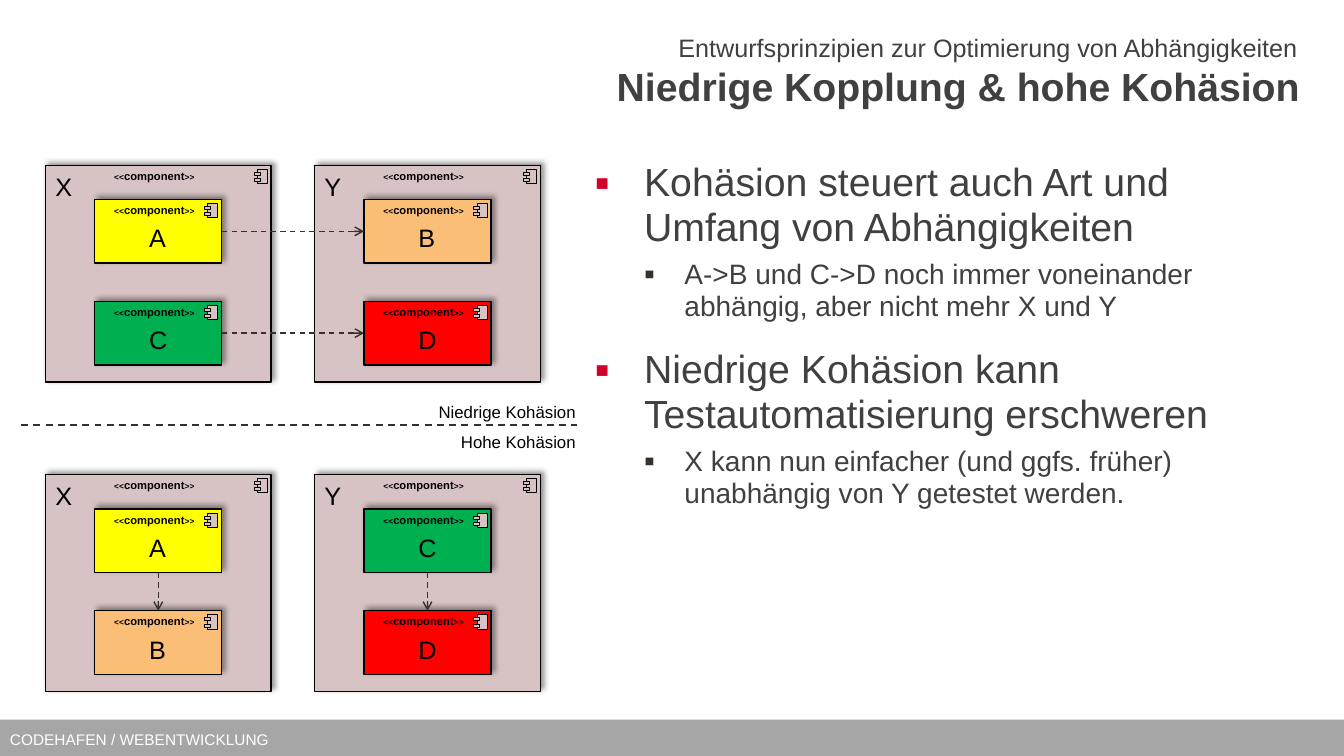
from lxml import etree
from pptx import Presentation
from pptx.dml.color import RGBColor
from pptx.enum.dml import MSO_LINE
from pptx.enum.shapes import MSO_CONNECTOR, MSO_SHAPE
from pptx.enum.text import MSO_ANCHOR, PP_ALIGN
from pptx.oxml.ns import qn
from pptx.util import Inches, Pt

RECT = MSO_SHAPE.RECTANGLE
STRAIGHT = MSO_CONNECTOR.STRAIGHT
DASH = MSO_LINE.DASH
LEFT, RIGHT = PP_ALIGN.LEFT, PP_ALIGN.RIGHT
TOP, MIDDLE, BOTTOM = MSO_ANCHOR.TOP, MSO_ANCHOR.MIDDLE, MSO_ANCHOR.BOTTOM

FONT = "Arial"
BLACK = RGBColor(0x00, 0x00, 0x00)
WHITE = RGBColor(0xFF, 0xFF, 0xFF)
GREY = RGBColor(0xA6, 0xA6, 0xA6)
DARK = RGBColor(0x40, 0x40, 0x40)
BROWN = RGBColor(0x39, 0x30, 0x2A)
CRIMSON = RGBColor(0xD2, 0x00, 0x29)
MAUVE = RGBColor(0xD7, 0xC3, 0xC3)
YELLOW = RGBColor(0xFF, 0xFF, 0x00)
ORANGE = RGBColor(0xFB, 0xBE, 0x77)
GREEN = RGBColor(0x00, 0xB0, 0x50)
RED = RGBColor(0xFF, 0x00, 0x00)

OUTER_W, OUTER_H = 2.24, 2.15
INNER_W, INNER_H = 1.26, 0.63
INNER_X, INNER_YS = 0.49, (0.34, 1.35)
STEREOTYPE_W = 1.07
COLUMNS, ROWS = (0.45, 3.12), (1.64, 4.71)

PART_COLORS = {"A": YELLOW, "B": ORANGE, "C": GREEN, "D": RED}
COMPONENTS = [
    ("X", 0, 0, "AC"),
    ("Y", 1, 0, "BD"),
    ("X", 0, 1, "AB"),
    ("Y", 1, 1, "CD"),
]
BULLETS = [
    (0, "Kohäsion steuert auch Art und Umfang von Abhängigkeiten"),
    (1, "A->B und C->D noch immer voneinander abhängig, aber nicht mehr X und Y"),
    (0, "Niedrige Kohäsion kann Testautomatisierung erschweren"),
    (1, "X kann nun einfacher (und ggfs. früher) unabhängig von Y getestet werden."),
]


def write(p, text, size=18, color=BLACK, bold=False, align=LEFT, spacing=None, before=None):
    """Append a formatted run to a paragraph."""
    p.alignment = align
    if spacing:
        p.line_spacing = spacing
    if before:
        p.space_before = Pt(before)
    r = p.add_run()
    r.text = text
    r.font.name = FONT
    r.font.size = Pt(size)
    r.font.bold = bold
    r.font.color.rgb = color


def text_box(shapes, x, y, w, h, text="", wrap=True, inset=True, anchor=TOP, **fmt):
    """Add a text box and return its text frame."""
    tf = shapes.add_textbox(Inches(x), Inches(y), Inches(w), Inches(h)).text_frame
    tf.word_wrap = wrap
    tf.vertical_anchor = anchor
    if not inset:
        tf.margin_left = tf.margin_right = tf.margin_top = tf.margin_bottom = 0
    if text:
        write(tf.paragraphs[0], text, **fmt)
    return tf


def add_shadow(sp):
    """Give a shape a soft shadow towards the upper right."""
    effects = sp._element.spPr.find(qn("a:effectLst"))
    shadow = etree.SubElement(effects, qn("a:outerShdw"), blurRad=str(Pt(4)),
                              dist=str(Pt(3)), dir=str(315 * 60000), rotWithShape="0")
    color = etree.SubElement(shadow, qn("a:srgbClr"), val=str(BLACK))
    etree.SubElement(color, qn("a:alpha"), val="40000")


def rect(shapes, x, y, w, h, fill, line=None, shadow=False):
    """Add a filled rectangle."""
    sp = shapes.add_shape(RECT, Inches(x), Inches(y), Inches(w), Inches(h))
    sp.shadow.inherit = False
    sp.fill.solid()
    sp.fill.fore_color.rgb = fill
    if line:
        sp.line.color.rgb = BLACK
        sp.line.width = Pt(line)
    else:
        sp.line.fill.background()
    if shadow:
        add_shadow(sp)
    return sp


def component_box(shapes, x, y, w, h, fill):
    """Add a UML component box with its stereotype and icon."""
    rect(shapes, x, y, w, h, fill, line=1, shadow=True)
    tf = text_box(shapes, x + (w - STEREOTYPE_W) / 2, y - 0.01, STEREOTYPE_W, 0.24)
    for text, size in (("<<", 6), ("component", 8), (">>", 6)):
        write(tf.paragraphs[0], text, size=size, bold=True)
    icon_x, icon_y = x + w - 0.14, y + 0.04
    rect(shapes, icon_x, icon_y, 0.1, 0.14, MAUVE, line=0.5)
    for dy in (0.03, 0.09):
        rect(shapes, icon_x - 0.03, icon_y + dy, 0.06, 0.03, MAUVE, line=0.5)


def component(s, name, x, y, parts):
    """Add an outer component with its stacked parts."""
    shapes = s.shapes.add_group_shape().shapes
    component_box(shapes, x, y, OUTER_W, OUTER_H, MAUVE)
    for part, dy in zip(parts, INNER_YS):
        px, py = x + INNER_X, y + dy
        component_box(shapes, px, py, INNER_W, INNER_H, PART_COLORS[part])
        text_box(shapes, px + 0.44, py + 0.18, 0.38, 0.4, part, wrap=False)
    text_box(s.shapes, x, y + 0.01, 0.37, 0.4, name, wrap=False)


def dashed_line(s, x1, y1, x2, y2, width=1, arrow=True):
    """Add a dashed line, with an open arrowhead if wanted."""
    cn = s.shapes.add_connector(STRAIGHT, Inches(x1), Inches(y1), Inches(x2), Inches(y2))
    cn.line.color.rgb = BROWN
    cn.line.width = Pt(width)
    cn.line.dash_style = DASH
    if arrow:
        etree.SubElement(cn.line._get_or_add_ln(), qn("a:tailEnd"), type="arrow")
    etree.SubElement(cn._element.spPr, qn("a:effectLst"))


def add_bullet(p, level):
    """Give a paragraph a square bullet with a hanging indent."""
    margin, hang, color = ((0.49, 0.49, CRIMSON), (0.89, 0.4, BROWN))[level]
    p.level = level
    pPr = p._p.get_or_add_pPr()
    pPr.set("marL", str(Inches(margin)))
    pPr.set("indent", str(-Inches(hang)))
    bullet_color = etree.SubElement(pPr, qn("a:buClr"))
    etree.SubElement(bullet_color, qn("a:srgbClr"), val=str(color))
    etree.SubElement(pPr, qn("a:buSzPct"), val="110000")
    etree.SubElement(pPr, qn("a:buFont"), typeface=FONT)
    etree.SubElement(pPr, qn("a:buChar"), char="▪")


def bullet_list(s):
    """Add the two-level list on the right."""
    tf = text_box(s.shapes, 5.8, 1.55, 7.32, 5.59)
    for i, (level, text) in enumerate(BULLETS):
        p = tf.add_paragraph() if i else tf.paragraphs[0]
        add_bullet(p, level)
        write(p, text, size=(28, 20)[level], color=DARK, spacing=0.95,
              before=(18, 6)[level] if i else None)


def arrows(s):
    """Connect the dependent parts: across in the top row, down in the bottom row."""
    left, right = (x + INNER_X for x in COLUMNS)
    for dy in INNER_YS:
        y = ROWS[0] + dy + INNER_H / 2
        dashed_line(s, left + INNER_W, y, right, y)
    for x in (left, right):
        middle = x + INNER_W / 2
        dashed_line(s, middle, ROWS[1] + INNER_YS[0] + INNER_H, middle, ROWS[1] + INNER_YS[1])


def main():
    """Build the slide and save it."""
    prs = Presentation()
    prs.slide_width, prs.slide_height = Inches(13.33), Inches(7.5)
    s = prs.slides.add_slide(prs.slide_layouts[6])

    footer = rect(s.shapes, 0, 7.14, 13.33, 0.39, GREY)
    footer.text_frame.vertical_anchor = MIDDLE
    write(footer.text_frame.paragraphs[0], "CODEHAFEN / WEBENTWICKLUNG", size=11, color=WHITE)

    text_box(s.shapes, 3.37, 0.62, 9.52, 0.49, "Niedrige Kopplung & hohe Kohäsion",
             inset=False, size=28, color=DARK, bold=True, align=RIGHT)
    text_box(s.shapes, 4.53, 0, 8.34, 0.63,
             "Entwurfsprinzipien zur Optimierung von Abhängigkeiten",
             inset=False, anchor=BOTTOM, color=DARK, align=RIGHT, spacing=0.95)

    for name, column, row, parts in COMPONENTS:
        component(s, name, COLUMNS[column], ROWS[row], parts)
    arrows(s)
    bullet_list(s)

    dashed_line(s, 0.21, 4.22, 5.72, 4.22, width=1.25, arrow=False)
    for y, label in ((3.94, "Niedrige Kohäsion"), (4.23, "Hohe Kohäsion")):
        text_box(s.shapes, 3.36, y, 2.45, 0.3, label, size=12, align=RIGHT)

    prs.save("out.pptx")


if __name__ == "__main__":
    main()
